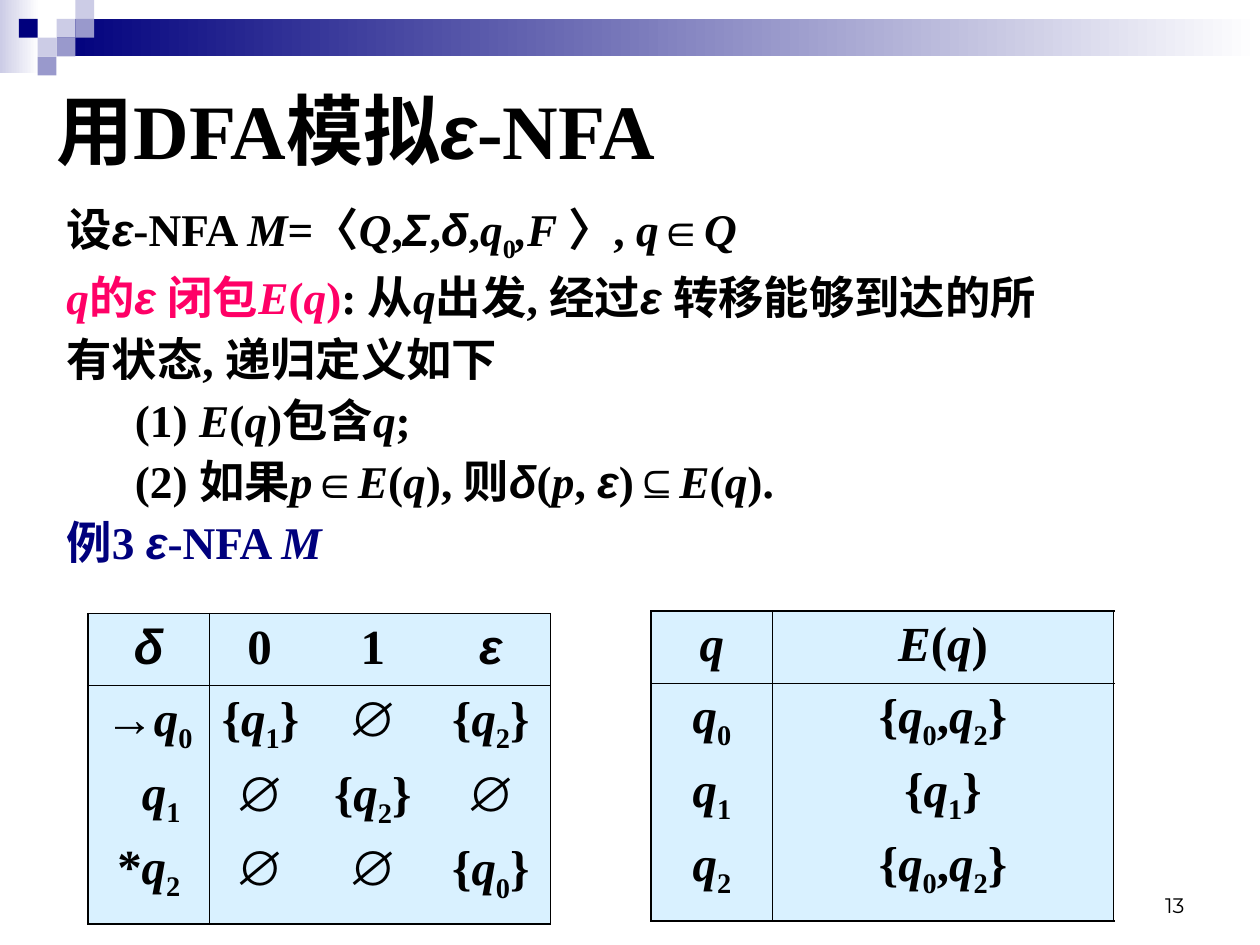
import itertools

import lxml.etree
import pptx
import pptx.dml.color
import pptx.enum.shapes
import pptx.enum.text
import pptx.oxml.ns
import pptx.util

Cm = pptx.util.Cm
Pt = pptx.util.Pt
RGBColor = pptx.dml.color.RGBColor
ALIGN = pptx.enum.text.PP_ALIGN
ANCHOR = pptx.enum.text.MSO_ANCHOR
qn = pptx.oxml.ns.qn

BLACK = RGBColor(0x00, 0x00, 0x00)
WHITE = RGBColor(0xFF, 0xFF, 0xFF)
NAVY = RGBColor(0x00, 0x00, 0x7D)
LAVENDER = RGBColor(0xCC, 0xCC, 0xE6)
PERIWINKLE = RGBColor(0x99, 0x99, 0xCC)
PINK = RGBColor(0xFF, 0x00, 0x66)
PALE_BLUE = RGBColor(0xD9, 0xF1, 0xFF)

SERIF, SANS = "Times New Roman", "Arial"
GREEK = "εδΣ"
SYMBOLS = "∈⊆∅→〈〉"
TILE = 0.38
OUTER, INNER = 1.08, 0.45
TRANSITION_TABS = (0.76, 3.04, 5.42)


def styled_characters(markup):
    """Yield (character, (font, italic, subscript)); /x/ is italic, _0 is a subscript."""
    italic = subscript = False
    for char in markup:
        if char == "/":
            italic = not italic
        elif char == "_":
            subscript = True
        else:
            greek = char in GREEK
            font = SANS if greek or char in SYMBOLS else SERIF
            slanted = (italic or greek) and not subscript and char not in SYMBOLS
            yield char, (font, slanted, subscript)
            subscript = False


def add_formula(paragraph, markup, color=None):
    for style, group in itertools.groupby(styled_characters(markup), lambda pair: pair[1]):
        font, italic, subscript = style
        run = paragraph.add_run()
        run.text = "".join(char for char, _ in group)
        run.font.name = font
        run.font.italic = italic
        if color is not None:
            run.font.color.rgb = color
        if subscript:
            run._r.get_or_add_rPr().set("baseline", "-25000")


def format_paragraph(paragraph, size, align=ALIGN.LEFT, before=0, indent=0, tabs=()):
    paragraph.alignment = align
    paragraph.space_before = Pt(before)
    properties = paragraph._p.get_or_add_pPr()
    if indent:
        properties.set("marL", str(Cm(indent)))
    if tabs:
        tab_list = lxml.etree.SubElement(properties, qn("a:tabLst"))
        for position in tabs:
            lxml.etree.SubElement(tab_list, qn("a:tab"), pos=str(Cm(position)), algn="ctr")
    paragraph.font.size = Pt(size)
    paragraph.font.bold = True
    paragraph.font.color.rgb = BLACK


def nth_paragraph(frame, index):
    return frame.add_paragraph() if index else frame.paragraphs[0]


def add_text_frame(slide, left, top, width, height, anchor=ANCHOR.TOP):
    frame = slide.shapes.add_textbox(Cm(left), Cm(top), Cm(width), Cm(height)).text_frame
    frame.word_wrap = True
    frame.vertical_anchor = anchor
    return frame


def add_block(slide, left, top, width, height, color, fade_to=None):
    """Add a borderless rectangle, fading from left to right if fade_to is given."""
    block = slide.shapes.add_shape(
        pptx.enum.shapes.MSO_SHAPE.RECTANGLE, Cm(left), Cm(top), Cm(width), Cm(height))
    block.shadow.inherit = False
    block.line.fill.background()
    if fade_to is None:
        block.fill.solid()
        block.fill.fore_color.rgb = color
        return
    block.fill.gradient()
    block.fill.gradient_angle = 0
    for stop, stop_color in zip(block.fill.gradient_stops, (color, fade_to)):
        stop.color.rgb = stop_color


def add_banner(slide):
    add_block(slide, 0, 0, 0.79, 1.47, LAVENDER, WHITE)
    add_block(slide, 1.14, TILE, 24.26, 2 * TILE, NAVY, WHITE)
    tiles = ((3, 1, LAVENDER), (4, 0, LAVENDER), (4, 1, PERIWINKLE), (2, 2, LAVENDER),
             (1, 1, NAVY), (3, 2, PERIWINKLE), (2, 3, PERIWINKLE))
    for column, row, color in tiles:
        add_block(slide, column * TILE, row * TILE, TILE, TILE, color)


def add_title(slide):
    frame = add_text_frame(slide, 0.89, 1.32, 22.86, 2.54, ANCHOR.MIDDLE)
    add_formula(frame.paragraphs[0], "用DFA模拟ε-NFA")
    format_paragraph(frame.paragraphs[0], 44)


def add_definition(slide):
    lines = (
        (0, [("设ε-NFA /M/=〈/Q/,Σ,δ,/q/_0/,F /〉, /q/∈/Q/", None)]),
        (0, [("/q/的ε 闭包/E/(/q/)", PINK), (": 从/q/出发, 经过ε 转移能够到达的所", None)]),
        (0, [("有状态, 递归定义如下", None)]),
        (1.38, [("(1) /E/(/q/)包含/q/;", None)]),
        (1.38, [("(2) 如果/p/∈/E/(/q/), 则δ(/p/, ε)⊆/E/(/q/).", None)]),
        (0, [("例3 ε-NFA /M/", NAVY)]),
    )
    frame = add_text_frame(slide, 1.09, 3.94, 22.86, 9.8)
    for index, (indent, segments) in enumerate(lines):
        paragraph = nth_paragraph(frame, index)
        for markup, color in segments:
            add_formula(paragraph, markup, color)
        if index:
            paragraph.line_spacing = 0.9
        format_paragraph(paragraph, 25.9, before=7 if index else 0, indent=indent)


def set_borders(cell, row, column):
    properties = cell._tc.get_or_add_tcPr()
    widths = {"lnL": INNER if column else OUTER, "lnR": OUTER if column else INNER,
              "lnT": INNER if row else OUTER, "lnB": OUTER if row else INNER}
    for tag, width in widths.items():
        line = lxml.etree.SubElement(properties, qn("a:" + tag), w=str(Pt(width)))
        fill = lxml.etree.SubElement(line, qn("a:solidFill"))
        lxml.etree.SubElement(fill, qn("a:srgbClr"), val=str(BLACK))


def add_state_table(slide, left, top, rows, tabs=(), shifts=(0, 0, 0)):
    """Add a two-column table; tabs align the second column, shifts indent the states."""
    table = slide.shapes.add_table(2, 2, Cm(left), Cm(top), Cm(9.32), Cm(6.25)).table
    table.first_row = table.horz_banding = False
    for column, width in zip(table.columns, (2.44, 6.88)):
        column.width = Cm(width)
    for row, height in zip(table.rows, (1.45, 4.8)):
        row.height = Cm(height)
    for row, column in itertools.product(range(2), repeat=2):
        cell = table.cell(row, column)
        set_borders(cell, row, column)
        cell.fill.solid()
        cell.fill.fore_color.rgb = PALE_BLUE
        cell_tabs = tabs if column else ()
        for index, markup in enumerate(rows[row][column]):
            paragraph = nth_paragraph(cell.text_frame, index)
            add_formula(paragraph, markup)
            format_paragraph(
                paragraph, 28, ALIGN.LEFT if cell_tabs else ALIGN.CENTER,
                before=7 if index else 0, tabs=cell_tabs,
                indent=0 if column else shifts[index])


def add_page_number(slide):
    frame = add_text_frame(slide, 18.21, 17.35, 5.92, 1.27, ANCHOR.BOTTOM)
    number = frame.paragraphs[0]
    number.text = "13"
    number.alignment = ALIGN.RIGHT
    number.font.name = "Montserrat"
    number.font.size = Pt(12)
    number.font.color.rgb = BLACK


def main():
    deck = pptx.Presentation()
    deck.slide_width, deck.slide_height = Cm(25.4), Cm(19.05)
    slide = deck.slides.add_slide(deck.slide_layouts[6])
    add_banner(slide)
    add_title(slide)
    add_definition(slide)
    transitions = (
        (["δ"], ["\t0\t1\tε"]),
        (["→/q/_0", "/q/_1", "*/q/_2"],
         ["\t{/q/_1}\t∅\t{/q/_2}", "\t∅\t{/q/_2}\t∅", "\t∅\t∅\t{/q/_0}"]),
    )
    closures = (
        (["/q/"], ["/E/(/q/)"]),
        (["/q/_0", "/q/_1", "/q/_2"], ["{/q/_0,/q/_2}", "{/q/_1}", "{/q/_0,/q/_2}"]),
    )
    add_state_table(slide, 1.78, 12.37, transitions, TRANSITION_TABS, (0, 0.5, 0))
    add_state_table(slide, 13.13, 12.32, closures)
    add_page_number(slide)
    deck.save("out.pptx")


if __name__ == "__main__":
    main()
